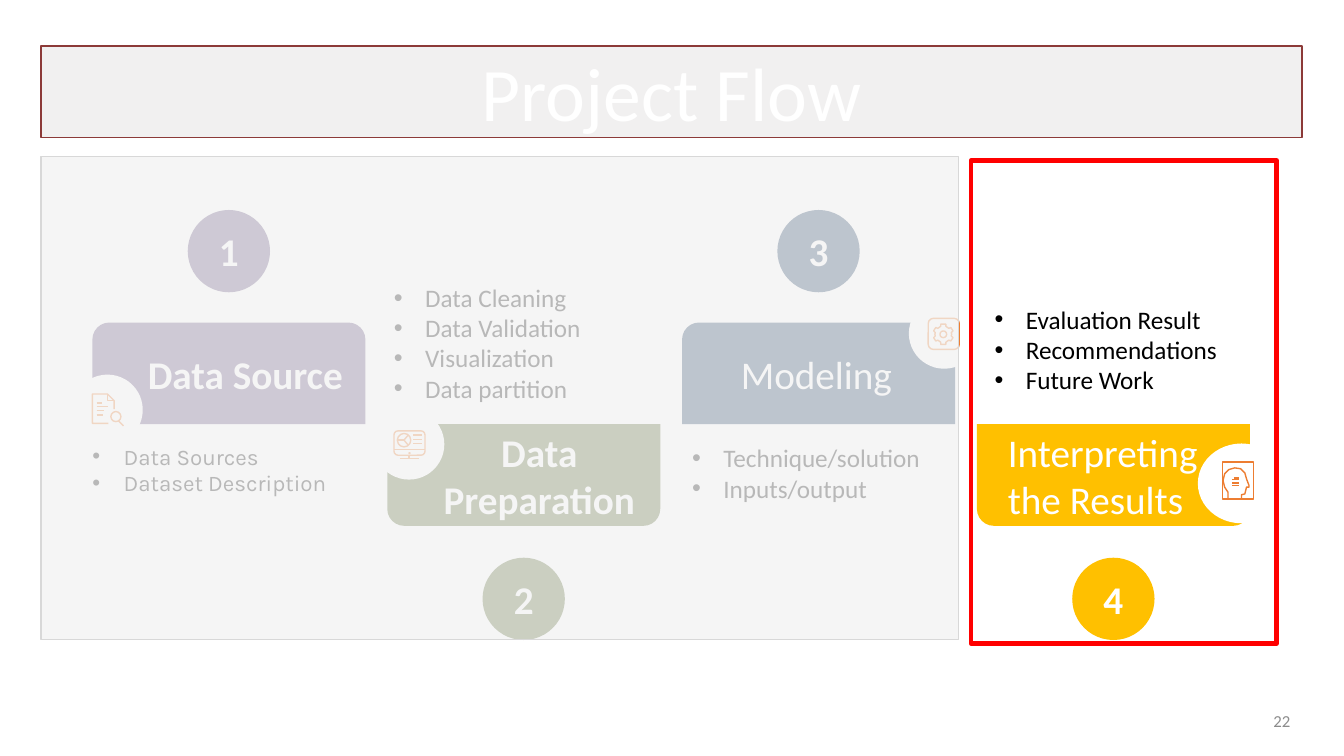
from dataclasses import dataclass

from lxml import etree
from pptx import Presentation
from pptx.dml.color import RGBColor
from pptx.enum.shapes import MSO_CONNECTOR, MSO_SHAPE
from pptx.enum.text import MSO_ANCHOR, MSO_AUTO_SIZE, PP_ALIGN
from pptx.oxml.ns import qn
from pptx.util import Emu, Inches, Pt

RECTANGLE, ROUNDED, OVAL = MSO_SHAPE.RECTANGLE, MSO_SHAPE.ROUNDED_RECTANGLE, MSO_SHAPE.OVAL
CARD = MSO_SHAPE.ROUND_2_SAME_RECTANGLE
STRAIGHT = MSO_CONNECTOR.STRAIGHT
LEFT, CENTER, RIGHT = PP_ALIGN.LEFT, PP_ALIGN.CENTER, PP_ALIGN.RIGHT
TOP, MIDDLE = MSO_ANCHOR.TOP, MSO_ANCHOR.MIDDLE
COMPARISON_LAYOUT = 4

# The slide is a grid of 16 columns and 9 rows of square cells.
CELL = Inches(13.333) / 16
ICON_CELL = 0.01  # icons are drawn on hundredths of a grid cell
CARD_LEFT, CARD_PITCH, CARD_WIDTH, CARD_HEIGHT = 1.1, 3.51, 3.25, 1.21
UPPER_CARD, LOWER_CARD = 3.84, 5.05
BADGE_SIZE, UPPER_BADGE, LOWER_BADGE = 0.98, 2.5, 6.64


@dataclass(frozen=True)
class Theme:
    font: str = "Calibri"
    white: str = "FFFFFF"
    black: str = "000000"
    title_fill: str = "F1F0F0"
    title_line: str = "8C3A38"
    number: str = "8C8C8C"
    icon: str = "ED7D31"
    frame: str = "FF0000"
    veil: str = "F2F2F2"
    veil_line: str = "D8D8D8"
    title_size: int = 54
    heading_size: int = 28
    number_size: int = 12


@dataclass(frozen=True)
class Box:
    left: float
    top: float
    width: float
    height: float


@dataclass(frozen=True)
class Icon:
    disc: Box
    lines: list
    outlines: list  # (points, closed)
    shapes: list  # (kind, left, top, width, height)


@dataclass(frozen=True)
class Stage:
    heading: str
    color: str
    bold: bool
    heading_offset: float
    heading_width: float
    alignment: PP_ALIGN
    list_box: Box
    items: list
    icon: Icon
    list_font: str = "Calibri"
    list_size: int = 18


THEME = Theme()

GEAR_QUARTER = [(10, 0), (9.5, -2), (11.5, -4), (9, -8), (6.5, -7), (3, -9.5), (3, -12)]
GEAR = [(41 + x * side, 43 + y * half)
        for side, half, step in ((1, 1, 1), (-1, 1, -1), (-1, -1, 1), (1, -1, -1))
        for x, y in GEAR_QUARTER[::step]]
HEAD = [(58, 42), (56, 35), (51, 30), (44, 29), (37, 31), (32, 36), (30, 44), (32, 52), (36, 58),
        (36, 66), (52, 66), (52, 61), (56, 60), (58, 52), (61, 52), (61, 50)]

DOCUMENT_ICON = Icon(
    Box(0.86, 4.46, 0.84, 0.84),
    [(29, 34, 36, 34), (29, 38, 42, 38), (29, 43, 38, 43), (29, 48, 37, 48), (55, 55, 61, 61)],
    [([(43, 58), (24, 58), (24, 23), (42, 23), (50, 31), (50, 41)], False),
     ([(42, 23), (42, 31), (50, 31)], False)],
    [(OVAL, 46, 44, 12, 12)])
SCREEN_ICON = Icon(
    Box(4.45, 4.87, 0.84, 0.84),
    [(31, 59, 54, 59), (42, 55, 42, 59), (24, 48, 61, 48), (36, 37, 28, 37)]
    + [(47, y, 58, y) for y in (31, 36, 41)],
    [([(41, 31), (36, 37), (41, 43)], False)],
    [(ROUNDED, 24, 26, 37, 29), (OVAL, 42, 52, 1, 1), (OVAL, 28, 29, 16, 16)])
GEAR_ICON = Icon(
    Box(10.82, 3.55, 0.84, 0.84), [], [(GEAR, True)],
    [(ROUNDED, 23, 24, 37, 37), (OVAL, 37, 39, 8, 8)])
HEAD_ICON = Icon(
    Box(14.26, 5.28, 1.04, 0.95),
    [(43, 41, 49, 41)] + [(41, y, 49, y) for y in (43, 47, 50)],
    [(HEAD, True)], [(RECTANGLE, 29, 22, 37, 44)])

STAGES = [
    Stage("Data Source", "5F497A", True, 0.45, 2.74, CENTER, Box(1.1, 5.27, 3.25, 0.65),
          ["Data Sources", "Dataset Description"], DOCUMENT_ICON, "Karla", 16),
    Stage("Data Preparation", "4F6128", True, 0.45, 2.72, CENTER, Box(4.69, 3.36, 3.25, 1.45),
          ["Data Cleaning", "Data Validation", "Visualization", "Data partition"], SCREEN_ICON),
    Stage("Modeling", "17365D", False, 0.45, 2.3, CENTER, Box(8.24, 5.27, 3.13, 0.73),
          ["Technique/solution", "Inputs/output"], GEAR_ICON),
    Stage("Interpreting the Results", "FFC000", False, 0.25, 2.8, LEFT,
          Box(11.84, 3.62, 2.92, 1.09),
          ["Evaluation Result", "Recommendations", "Future Work"], HEAD_ICON),
]


def grid(cells: float) -> Emu:
    return Emu(round(cells * CELL))


def corners(box: Box) -> list[Emu]:
    return [grid(value) for value in (box.left, box.top, box.width, box.height)]


def paint(shape, fill: str | None = None, line: str | None = None, width: float = 1) -> None:
    if fill:
        shape.fill.solid()
        shape.fill.fore_color.rgb = RGBColor.from_string(fill)
    else:
        shape.fill.background()
    if line:
        shape.line.color.rgb = RGBColor.from_string(line)
        shape.line.width = Pt(width)
    else:
        shape.line.fill.background()


def add_shape(shapes, kind: MSO_SHAPE, box: Box, fill: str | None = None,
              line: str | None = None, width: float = 1):
    shape = shapes.add_shape(kind, *corners(box))
    shape.shadow.inherit = False
    paint(shape, fill, line, width)
    return shape


def style(paragraph, size: float, color: str, alignment: PP_ALIGN = LEFT,
          bold: bool = False, font: str = THEME.font) -> None:
    paragraph.alignment = alignment
    paragraph.font.name = font
    paragraph.font.size = Pt(size)
    paragraph.font.bold = bold
    paragraph.font.color.rgb = RGBColor.from_string(color)


def write(shape, text: str, size: float, color: str, alignment: PP_ALIGN,
          bold: bool = False) -> None:
    frame = shape.text_frame
    frame.word_wrap = True
    frame.vertical_anchor = MIDDLE
    frame.text = text
    style(frame.paragraphs[0], size, color, alignment, bold)


def place(placeholder, box: Box) -> None:
    """Move a placeholder and free its text of margins and fitting."""
    placeholder.left, placeholder.top, placeholder.width, placeholder.height = corners(box)
    frame = placeholder.text_frame
    frame.margin_left = frame.margin_right = frame.margin_top = frame.margin_bottom = 0
    frame.auto_size = MSO_AUTO_SIZE.NONE
    frame.word_wrap = True
    frame.vertical_anchor = TOP


def fill_list(placeholder, stage: Stage) -> None:
    place(placeholder, stage.list_box)
    placeholder.text_frame.text = "\n".join(stage.items)
    for paragraph in placeholder.text_frame.paragraphs:
        paragraph.space_before = Pt(0)
        properties = paragraph._p.get_or_add_pPr()
        properties.set("marL", str(Inches(0.31)))
        properties.set("indent", str(-Inches(0.31)))
        color = etree.SubElement(properties, qn("a:buClr"))
        etree.SubElement(color, qn("a:srgbClr"), val=THEME.black)
        etree.SubElement(properties, qn("a:buFont"), typeface="Arial")
        etree.SubElement(properties, qn("a:buChar"), char="•")
        style(paragraph, stage.list_size, THEME.black, font=stage.list_font)


def draw_icon(slide, icon: Icon) -> None:
    shapes = slide.shapes.add_group_shape().shapes
    add_shape(shapes, OVAL, icon.disc, THEME.white)

    def spot(x: float, y: float) -> tuple[Emu, Emu]:
        return grid(icon.disc.left + x * ICON_CELL), grid(icon.disc.top + y * ICON_CELL)

    for kind, x, y, width, height in icon.shapes:
        box = Box(icon.disc.left + x * ICON_CELL, icon.disc.top + y * ICON_CELL,
                  width * ICON_CELL, height * ICON_CELL)
        add_shape(shapes, kind, box, line=THEME.icon)
    for points, closed in icon.outlines:
        builder = shapes.build_freeform(*spot(*points[0]))
        builder.add_line_segments([spot(*point) for point in points[1:]], close=closed)
        outline = builder.convert_to_shape()
        outline.shadow.inherit = False
        paint(outline, line=THEME.icon)
    for x1, y1, x2, y2 in icon.lines:
        connector = shapes.add_connector(STRAIGHT, *spot(x1, y1), *spot(x2, y2))
        connector.line.color.rgb = RGBColor.from_string(THEME.icon)
        connector.line.width = Pt(1)
        etree.SubElement(connector._element.spPr, qn("a:effectLst"))


def draw_stage(slide, index: int, stage: Stage) -> None:
    lower = index % 2 == 1
    left = CARD_LEFT + index * CARD_PITCH
    top = LOWER_CARD if lower else UPPER_CARD
    card = add_shape(slide.shapes, CARD, Box(left, top, CARD_WIDTH, CARD_HEIGHT), stage.color)
    card.rotation = 180 if lower else 0
    heading = slide.shapes.add_textbox(
        *corners(Box(left + stage.heading_offset, top, stage.heading_width, CARD_HEIGHT)))
    write(heading, stage.heading, THEME.heading_size, THEME.white, stage.alignment, stage.bold)
    badge = add_shape(slide.shapes, OVAL, Box(
        left + (CARD_WIDTH - BADGE_SIZE) / 2, LOWER_BADGE if lower else UPPER_BADGE,
        BADGE_SIZE, BADGE_SIZE), stage.color)
    write(badge, str(index + 1), THEME.heading_size, THEME.white, CENTER, True)


def main() -> None:
    presentation = Presentation()
    presentation.slide_width, presentation.slide_height = grid(16), grid(9)
    slide = presentation.slides.add_slide(presentation.slide_layouts[COMPARISON_LAYOUT])
    title, *lists = slide.placeholders
    place(title, Box(0.49, 0.55, 15.01, 1.09))
    paint(title, THEME.title_fill, THEME.title_line)
    title.text_frame.text = "Project Flow"
    style(title.text_frame.paragraphs[0], THEME.title_size, THEME.white, CENTER)
    for index, (placeholder, stage) in enumerate(zip(lists, STAGES)):
        fill_list(placeholder, stage)
        draw_stage(slide, index, stage)
    for stage in STAGES:
        draw_icon(slide, stage.icon)
    number = slide.shapes.add_textbox(*corners(Box(11.88, 8.34, 3.6, 0.48)))
    write(number, "22", THEME.number_size, THEME.number, RIGHT)
    add_shape(slide.shapes, RECTANGLE, Box(11.56, 1.91, 3.64, 5.75), line=THEME.frame, width=3.25)
    veil = add_shape(slide.shapes, RECTANGLE, Box(0.49, 1.86, 10.92, 5.75),
                     THEME.veil, THEME.veil_line)
    veil_color = veil._element.spPr.find(qn("a:solidFill"))[0]
    etree.SubElement(veil_color, qn("a:alpha"), val="76000")
    presentation.save("out.pptx")


if __name__ == "__main__":
    main()
